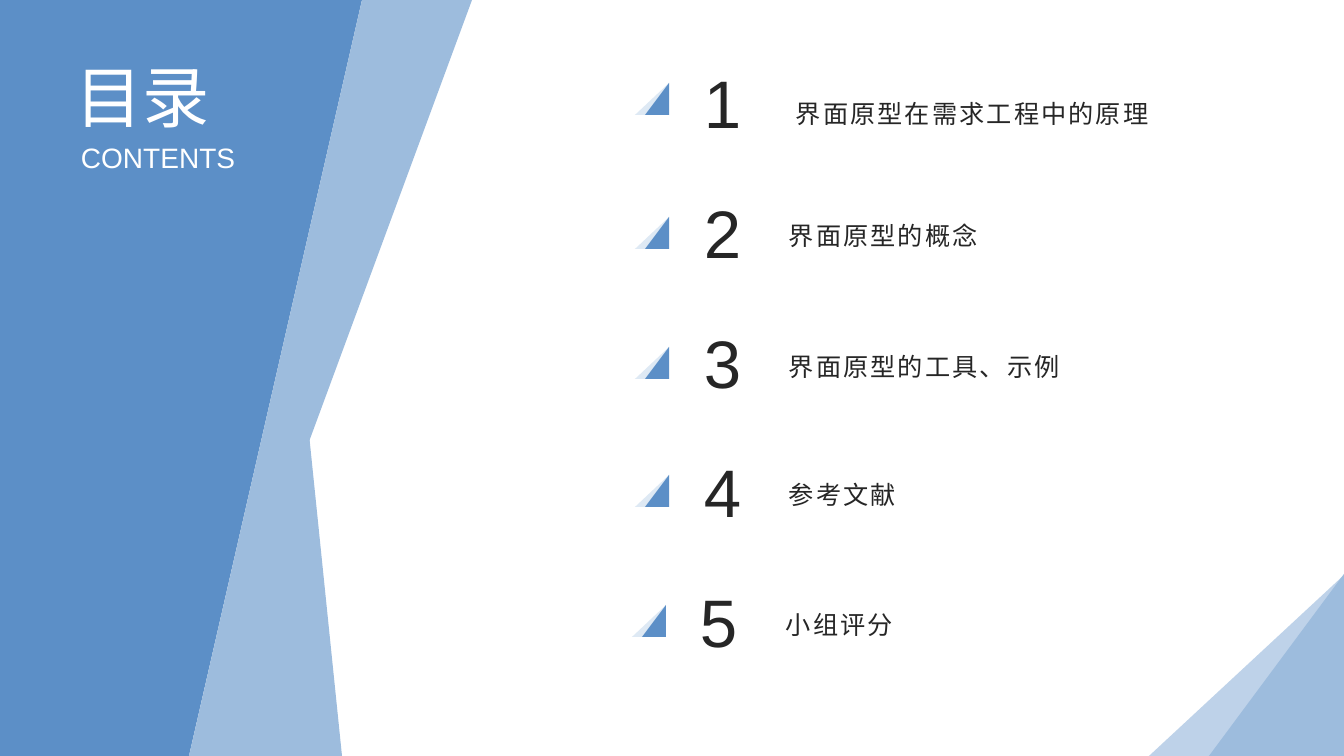
from dataclasses import dataclass

from pptx import Presentation
from pptx.dml.color import RGBColor
from pptx.enum.shapes import MSO_SHAPE as Shape
from pptx.enum.text import MSO_ANCHOR as Anchor, MSO_AUTO_SIZE as AutoSize, PP_ALIGN as Align
from pptx.oxml.ns import qn
from pptx.util import Emu, Pt

# Content: lengths in px
PAGE_W, PAGE_H = 1344, 756
TITLE, SUBTITLE = "目录", "CONTENTS"

# Label, label left, label width, label top, number left, number top, marker left, marker top
ENTRIES = [
    ("界面原型在需求工程中的原理", 786, 396, 67, 694, 56, 645, 83),
    ("界面原型的概念", 779, 318, 189, 694, 186, 645, 217),
    ("界面原型的工具、示例", 779, 318, 320, 694, 316, 645, 347),
    ("参考文献", 779, 318, 448, 694, 445, 645, 475),
    ("小组评分", 776, 318, 578, 690, 575, 642, 605),
]
ROW_H = 92
NUMBER_W = 58
MARKER_W, MARKER_H = 24, 32


@dataclass(frozen=True)
class Theme:
    font: str = "Arial"
    white: str = "FFFFFF"
    ink: str = "262626"
    blue: str = "5C8FC7"
    band: str = "9DBCDD"
    pale: str = "BED2E9"
    mist: str = "DEE9F4"
    large: int = 48
    medium: int = 20
    body: int = 18
    spacing: int = 150  # hundredths of a point


theme = Theme()
SCALE = 12192000 / PAGE_W

PANELS = [
    ([(1344, 575), (1306, 756), (1149, 756)], theme.pale),
    ([(0, 0), (362, 0), (189, 756), (0, 756)], theme.blue),
    ([(472, 0), (193, 756), (189, 756), (362, 0)], theme.band),
    ([(309, 434), (342, 756), (189, 756)], theme.band),
]


def px(length):
    return Emu(round(length * SCALE))


def paint(shape, color):
    shape.shadow.inherit = False
    shape.fill.solid()
    shape.fill.fore_color.rgb = RGBColor.from_string(color)
    shape.line.fill.background()


def add_outline(page, points, color):
    builder = page.shapes.build_freeform(*points[0], scale=SCALE)
    builder.add_line_segments(points[1:], close=True)
    paint(builder.convert_to_shape(), color)


def add_triangle(page, left, top, width, height, color):
    triangle = page.shapes.add_shape(Shape.ISOSCELES_TRIANGLE, px(left), px(top), px(width), px(height))
    triangle.adjustments[0] = 1
    paint(triangle, color)


def write(box, text, size, color, anchor=Anchor.TOP, wrap=False, spacing=None):
    frame = box.text_frame
    frame.auto_size = AutoSize.NONE
    frame.word_wrap = wrap
    frame.vertical_anchor = anchor
    frame.text = text
    para = frame.paragraphs[0]
    para.alignment = Align.LEFT
    para.font.name = theme.font
    para.font.size = Pt(size)
    para.font.color.rgb = RGBColor.from_string(color)
    if spacing:
        para._p.pPr.find(qn("a:defRPr")).set("spc", str(spacing))


def add_text(page, left, top, width, height, *content, **options):
    box = page.shapes.add_textbox(px(left), px(top), px(width), px(height))
    write(box, *content, **options)


def main():
    deck = Presentation()
    deck.slide_width, deck.slide_height = px(PAGE_W), px(PAGE_H)
    page = deck.slides.add_slide(deck.slide_layouts[5])

    # Side panel and corner
    corner, *side = PANELS
    add_outline(page, *corner)
    add_triangle(page, 1209, 574, 135, 182, theme.band)
    for points, color in side:
        add_outline(page, points, color)

    # Heading, raised above the panel and wide enough for one line
    title = page.shapes.title
    title.left, title.top, title.width, title.height = map(px, (65, 50, 180, ROW_H))
    write(title, TITLE, theme.large, theme.white, wrap=True)
    page.shapes._spTree.append(title._element)
    add_text(page, 71, 136, 176, 44, SUBTITLE, theme.medium, theme.white)

    # Numbered entries
    for number, entry in enumerate(ENTRIES, 1):
        label, label_x, label_w, label_y, number_x, number_y, x, y = entry
        add_text(page, number_x, number_y, NUMBER_W, ROW_H, str(number), theme.large, theme.ink)
        base = y + MARKER_H
        add_outline(page, [(x + MARKER_W, y), (x + 18, base), (x - 10, base)], theme.mist)
        add_triangle(page, x, y, MARKER_W, MARKER_H, theme.blue)
        add_text(page, label_x, label_y, label_w, ROW_H, label, theme.body, theme.ink,
                 anchor=Anchor.MIDDLE, wrap=True, spacing=theme.spacing)

    deck.save("out.pptx")


if __name__ == "__main__":
    main()
